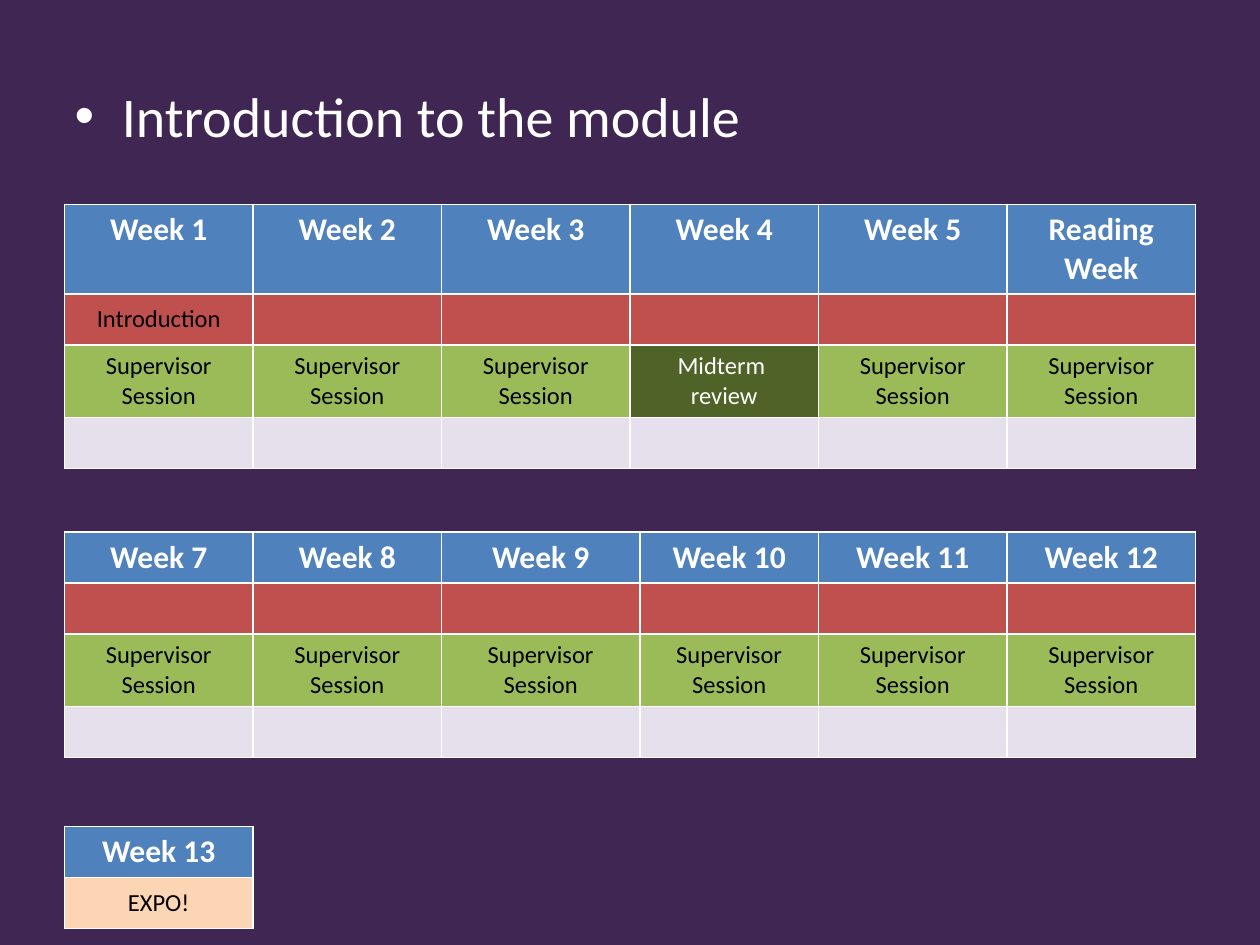
from pptx import Presentation, util as u
from pptx.dml import color
from pptx.enum import text

BLUE, RED, GREEN, DARK_GREEN = "4F81BD", "C0504D", "9BBB59", "4F6228"
LILAC, PEACH = "E6E0EC", "FCD5B5"
WHITE, BLACK, PURPLE = "FFFFFF", "000000", "402652"

COLUMN, ROW, LEFT = 3.8, 1.03, 1.3
SESSION = "Supervisor Session"


def paint(target, hex_code):
    """Give a fill or a font a solid colour."""
    if hasattr(target, "solid"):
        target.solid()
        target = target.fore_color
    else:
        target = target.color
    target.rgb = color.RGBColor.from_string(hex_code)


class SlideBuilder:
    font = "Calibri"

    def __init__(self, deck):
        self.slide = deck.slides.add_slide(deck.slide_layouts[1])
        title = self.slide.shapes.title
        title.element.getparent().remove(title.element)
        paint(self.slide.background.fill, PURPLE)

    def run(self, paragraph, words, size, hex_code, bold=False):
        run = paragraph.add_run()
        run.text = words
        run.font.name = self.font
        run.font.size = u.Pt(size)
        run.font.bold = bold
        paint(run.font, hex_code)

    def bullets(self, items, left, top, width, height):
        body = self.slide.placeholders[1]
        body.left, body.top = u.Cm(left), u.Cm(top)
        body.width, body.height = u.Cm(width), u.Cm(height)
        frame = body.text_frame
        for index, item in enumerate(items):
            paragraph = frame.add_paragraph() if index else frame.paragraphs[0]
            self.run(paragraph, item, 32, WHITE)

    def cell(self, cell, words, fill, size, hex_code, bold):
        paint(cell.fill, fill)
        if not words:
            return
        for index, line in enumerate(words.split("\n")):
            frame = cell.text_frame
            paragraph = frame.add_paragraph() if index else frame.paragraphs[0]
            paragraph.alignment = text.PP_ALIGN.CENTER
            self.run(paragraph, line, size, hex_code, bold)

    def timetable(self, top, widths, weeks, rows):
        """Draw a header of weeks above rows of (fill, entries)."""
        table = self.slide.shapes.add_table(
            len(rows) + 1, len(weeks), u.Cm(LEFT), u.Cm(top),
            u.Cm(sum(widths)), u.Cm(ROW * (len(rows) + 1))).table
        table.horz_banding = False
        for column, width in zip(table.columns, widths):
            column.width = u.Cm(width)
        for row in table.rows:
            row.height = u.Cm(ROW)
        for column, week in enumerate(weeks):
            self.cell(table.cell(0, column), week, BLUE, 18, WHITE, True)
        for number, (fill, entries) in enumerate(rows, start=1):
            for column, entry in enumerate(entries):
                box = table.cell(number, column)
                box.vertical_anchor = text.MSO_ANCHOR.MIDDLE
                review = entry.startswith("Midterm")
                self.cell(box, entry, DARK_GREEN if review else fill, 14,
                          WHITE if review else BLACK, False)


def main():
    deck = Presentation()
    deck.slide_width, deck.slide_height = u.Cm(25.4), u.Cm(19.05)
    builder = SlideBuilder(deck)
    builder.bullets(["Introduction to the module"], 1.25, 1.52, 22.86, 17)

    empty = [""] * 6
    first_sessions = [SESSION] * 3 + ["Midterm \nreview"] + [SESSION] * 2
    builder.timetable(
        4.12, [COLUMN] * 6,
        [f"Week {week}" for week in range(1, 6)] + ["Reading Week"],
        [(RED, ["Introduction"] + empty[1:]), (GREEN, first_sessions),
         (LILAC, empty)])
    builder.timetable(
        10.72, [COLUMN, COLUMN, 4, 3.6, COLUMN, COLUMN],
        [f"Week {week}" for week in range(7, 13)],
        [(RED, empty), (GREEN, [SESSION] * 6), (LILAC, empty)])
    builder.timetable(16.66, [COLUMN], ["Week 13"], [(PEACH, ["EXPO!"])])
    deck.save("out.pptx")


if __name__ == "__main__":
    main()
